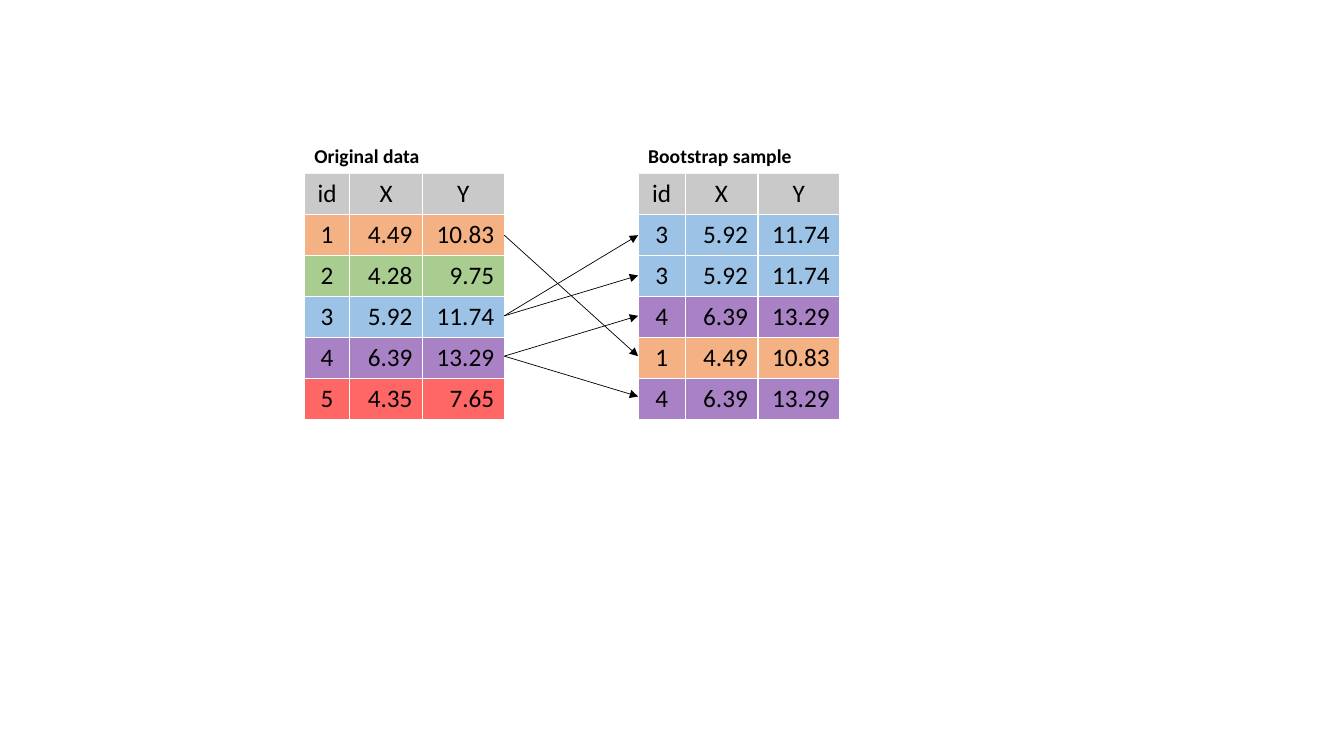
from lxml import etree
from pptx import Presentation
from pptx.dml.color import RGBColor
from pptx.enum.shapes import MSO_CONNECTOR
from pptx.enum.text import MSO_ANCHOR, PP_ALIGN
from pptx.oxml.ns import qn
from pptx.util import Pt

STRAIGHT = MSO_CONNECTOR.STRAIGHT
BOTTOM = MSO_ANCHOR.BOTTOM
LEFT, CENTER, RIGHT = PP_ALIGN.LEFT, PP_ALIGN.CENTER, PP_ALIGN.RIGHT

BLACK = RGBColor(0x00, 0x00, 0x00)
WHITE = RGBColor(0xFF, 0xFF, 0xFF)
GRAY = RGBColor(0xA6, 0xA6, 0xA6)
ORANGE = RGBColor(0xED, 0x7D, 0x31)
GREEN = RGBColor(0x70, 0xAD, 0x47)
BLUE = RGBColor(0x5B, 0x9B, 0xD5)
PURPLE = RGBColor(0x70, 0x30, 0xA0)
RED = RGBColor(0xFF, 0x00, 0x00)

FONT = "Calibri"
ROW_HEIGHT = 29.2
ARROW_STEP = 28.8
HEADINGS = ("id", "X", "Y")
OBSERVATIONS = {
    1: ("4.49", "10.83", ORANGE),
    2: ("4.28", "9.75", GREEN),
    3: ("5.92", "11.74", BLUE),
    4: ("6.39", "13.29", PURPLE),
    5: ("4.35", "7.65", RED),
}
ORIGINAL_IDS = (1, 2, 3, 4, 5)
BOOTSTRAP_IDS = (3, 3, 4, 1, 4)


def set_borders(cell, white_sides):
    """Draw white borders on the given sides and none on the others."""
    properties = cell._tc.get_or_add_tcPr()
    for position, side in enumerate("LRTB"):
        border = etree.Element(qn(f"a:ln{side}"), w=str(Pt(1)))
        if side in white_sides:
            fill = etree.SubElement(border, qn("a:solidFill"))
            etree.SubElement(fill, qn("a:srgbClr"), val=str(WHITE))
        else:
            etree.SubElement(border, qn("a:noFill"))
        properties.insert(position, border)


def set_fill(cell, color, opacity=60):
    """Fill a cell with a color at an opacity in percent."""
    cell.fill.solid()
    cell.fill.fore_color.rgb = color
    swatch = cell._tc.tcPr.find(qn("a:solidFill")).find(qn("a:srgbClr"))
    etree.SubElement(swatch, qn("a:alpha"), val=str(opacity * 1000))


def write_cell(cell, text, align, size=18, bold=False):
    """Put formatted text in a cell."""
    paragraph = cell.text_frame.paragraphs[0]
    paragraph.text = text
    paragraph.alignment = align
    font = paragraph.runs[0].font
    font.name, font.size, font.bold = FONT, Pt(size), bold
    font.color.rgb = BLACK


def add_data_table(slide, left, top, column_widths, title, ids):
    """Add a titled table of the observations with the given ids."""
    row_count = len(ids) + 2
    table = slide.shapes.add_table(
        row_count, len(HEADINGS), Pt(left), Pt(top),
        Pt(sum(column_widths)), Pt(ROW_HEIGHT * row_count)).table
    table.first_row = table.horz_banding = False
    for column, width in zip(table.columns, column_widths):
        column.width = Pt(width)
    for row in table.rows:
        row.height = Pt(ROW_HEIGHT)

    title_cell = table.cell(0, 0)
    title_cell.merge(table.cell(0, len(HEADINGS) - 1))
    write_cell(title_cell, title, LEFT, size=14, bold=True)
    title_cell.vertical_anchor = BOTTOM
    for column in range(len(HEADINGS)):
        table.cell(0, column).fill.background()
        set_borders(table.cell(0, column), "")

    for column, heading in enumerate(HEADINGS):
        cell = table.cell(1, column)
        write_cell(cell, heading, CENTER)
        set_borders(cell, "LRB")
        set_fill(cell, GRAY)

    for row, observation_id in enumerate(ids, start=2):
        x, y, color = OBSERVATIONS[observation_id]
        for column, value in enumerate((str(observation_id), x, y)):
            cell = table.cell(row, column)
            write_cell(cell, value, RIGHT if column else CENTER)
            set_borders(cell, "LRTB")
            set_fill(cell, color)
    return table


def add_sampling_arrows(slide, left, right, first_row_y):
    """Link each drawn observation to its rows in the bootstrap sample."""
    draws = sorted(enumerate(BOOTSTRAP_IDS), key=lambda draw: draw[1])
    for target_row, observation_id in draws:
        source_row = ORIGINAL_IDS.index(observation_id)
        arrow = slide.shapes.add_connector(
            STRAIGHT,
            Pt(left), Pt(first_row_y + ARROW_STEP * source_row),
            Pt(right), Pt(first_row_y + ARROW_STEP * target_row))
        arrow.line.color.rgb = BLACK
        arrow.line.width = Pt(0.5)
        etree.SubElement(arrow.line._get_or_add_ln(), qn("a:tailEnd"), type="triangle")
        etree.SubElement(arrow._element.spPr, qn("a:effectLst"))


def add_bootstrap_diagram(slide, left, top):
    """Place both tables and the arrows between them."""
    original_widths = (32.4, 52, 58.4)
    bootstrap_widths = (33.6, 52, 58.4)
    original_right = left + sum(original_widths)
    bootstrap_left = original_right + 95.6
    add_data_table(slide, left, top, original_widths, "Original data", ORIGINAL_IDS)
    bootstrap = add_data_table(
        slide, bootstrap_left, top, bootstrap_widths, "Bootstrap sample", BOOTSTRAP_IDS)
    set_fill(bootstrap.cell(0, 0), WHITE, opacity=100)
    add_sampling_arrows(slide, original_right, bootstrap_left, top + ROW_HEIGHT * 2.5)


def main():
    """Build and save the slide."""
    presentation = Presentation()
    presentation.slide_width, presentation.slide_height = Pt(960), Pt(540)
    slide = presentation.slides.add_slide(presentation.slide_layouts[6])
    add_bootstrap_diagram(slide, left=217.4, top=95)
    presentation.save("out.pptx")


if __name__ == "__main__":
    main()
